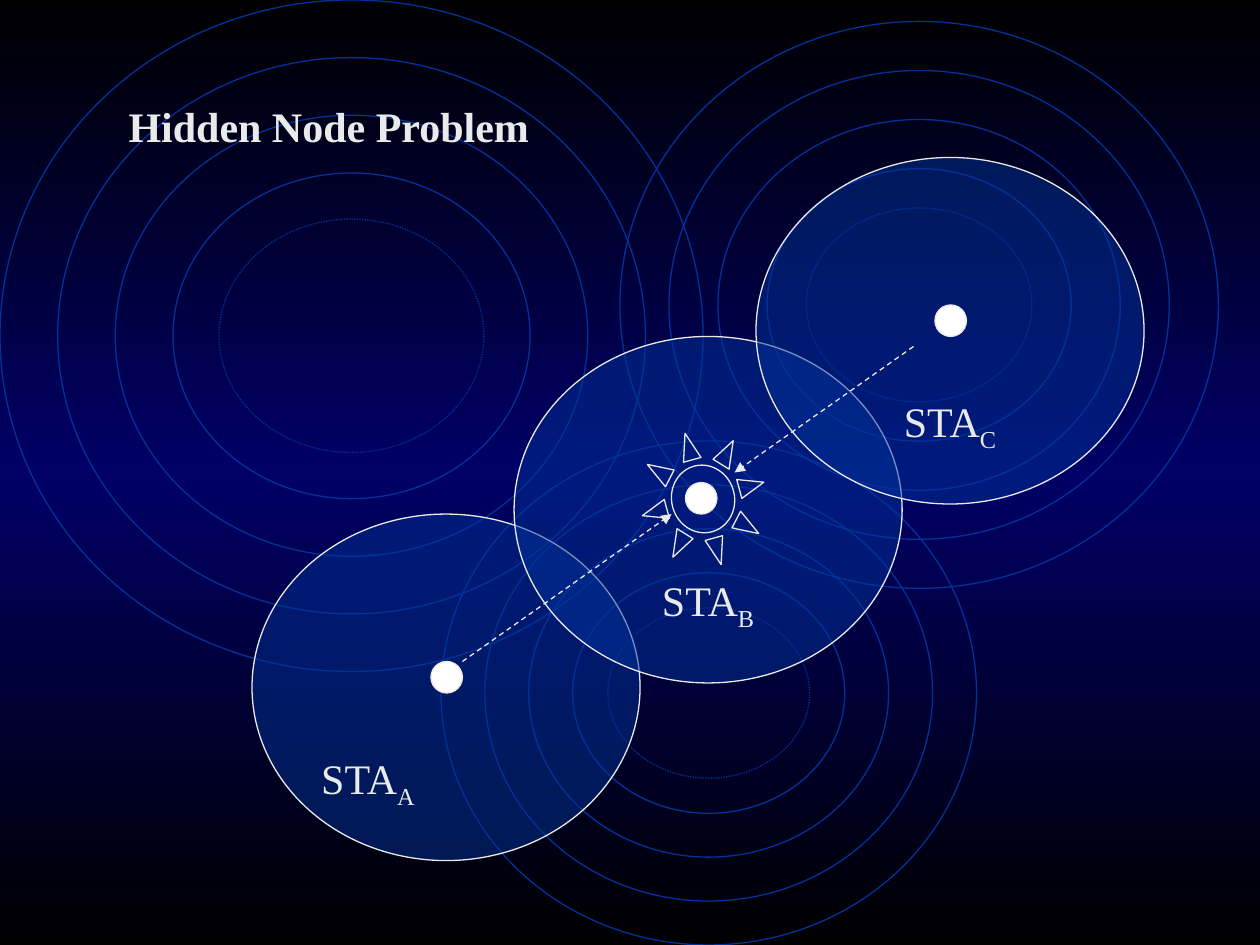
from copy import deepcopy

from pptx import Presentation
from pptx.dml.color import RGBColor
from pptx.enum.dml import MSO_LINE
from pptx.enum.shapes import MSO_CONNECTOR, MSO_SHAPE
from pptx.enum.text import MSO_ANCHOR, PP_ALIGN
from pptx.oxml.ns import qn
from pptx.oxml.xmlchemy import OxmlElement
from pptx.util import Inches, Pt

OVAL, SUN = MSO_SHAPE.OVAL, MSO_SHAPE.SUN
STRAIGHT = MSO_CONNECTOR.STRAIGHT
DASH, DOTTED = MSO_LINE.DASH, MSO_LINE.ROUND_DOT
LEFT, CENTER = PP_ALIGN.LEFT, PP_ALIGN.CENTER
TOP, BOTTOM = MSO_ANCHOR.TOP, MSO_ANCHOR.BOTTOM

FONT = "Times New Roman"
LIGHT, WHITE, BLUE = "EAEAEA", "FFFFFF", "003399"
BLACK, NAVY = "000000", "000066"
RANGE_WIDTH, RANGE_HEIGHT = 3.08, 2.75
NODE_SIZE = 0.25


def color(value):
    """Turn a hex string into a colour."""
    return RGBColor.from_string(value)


def add_text(paragraph, text, size=24, hue=LIGHT, bold=False, baseline=None):
    """Append a formatted run to a paragraph."""
    run = paragraph.add_run()
    run.text = text
    run.font.name = FONT
    run.font.size = Pt(size)
    run.font.bold = bold
    run.font.color.rgb = color(hue)
    if baseline is not None:
        run.font._element.set("baseline", str(baseline * 1000))


def style_line(line, hue, dash=None):
    """Give a line its colour, width and dash."""
    line.color.rgb = color(hue)
    line.width = Pt(0.75)
    if dash is not None:
        line.dash_style = dash


def add_figure(slide, kind, box, line, fill=None, opacity=None, dash=None):
    """Place a preset shape in a box given in inches."""
    figure = slide.shapes.add_shape(kind, *map(Inches, box))
    figure.shadow.inherit = False
    style_line(figure.line, line, dash)
    if fill is None:
        figure.fill.background()
    else:
        figure.fill.solid()
        figure.fill.fore_color.rgb = color(fill)
    if opacity is not None:
        alpha = OxmlElement("a:alpha")
        alpha.set("val", str(opacity * 1000))
        figure.fill._xPr.find(".//" + qn("a:srgbClr")).append(alpha)
    return figure


def paint_background(slide):
    """Fill the slide with a vertical black, navy, black gradient."""
    fill = slide.background.fill
    fill.gradient()
    fill.gradient_angle = 270
    stop_list = slide.element.find(".//" + qn("a:gsLst"))
    stop_list.append(deepcopy(stop_list[-1]))
    for stop, position, hue in zip(fill.gradient_stops, (0, 0.5, 1), (BLACK, NAVY, BLACK)):
        stop.position = position
        stop.color.rgb = color(hue)


def add_ripple(slide, left, top, width, height):
    """Draw concentric rings inside a box, the innermost dotted."""
    for step in (0, 1, 2, 3, 3.8):
        inset = 0.082 * width * step
        box = (left + inset, top + inset, width - 2 * inset, height - 2 * inset)
        add_figure(slide, OVAL, box, BLUE, dash=DOTTED if step == 3.8 else None)


def add_title(slide, left, top, width, height):
    """Place the title above the rings."""
    title = slide.shapes.title
    slide.shapes._spTree.append(title._element)
    title.left, title.top = Inches(left), Inches(top)
    title.width, title.height = Inches(width), Inches(height)
    frame = title.text_frame
    frame.word_wrap = True
    frame.vertical_anchor = TOP
    paragraph = frame.paragraphs[0]
    paragraph.alignment = LEFT
    add_text(paragraph, "Hidden Node Problem", bold=True)


def add_station_range(slide, left, top, letter, alignment):
    """Draw the radio range of a station with its label at the bottom."""
    box = (left, top, RANGE_WIDTH, RANGE_HEIGHT)
    station = add_figure(slide, OVAL, box, LIGHT, fill=BLUE, opacity=49)
    frame = station.text_frame
    frame.word_wrap = True
    frame.vertical_anchor = BOTTOM
    frame.margin_bottom = 0
    paragraph = frame.paragraphs[0]
    paragraph.alignment = alignment
    add_text(paragraph, "STA")
    add_text(paragraph, letter, baseline=-25)


def add_signal(slide, start, end):
    """Draw a dashed arrow between two points."""
    signal = slide.shapes.add_connector(STRAIGHT, *map(Inches, start + end))
    style_line(signal.line, LIGHT, DASH)
    arrowhead = OxmlElement("a:tailEnd")
    arrowhead.set("type", "triangle")
    signal.line._get_or_add_ln().append(arrowhead)
    signal._element.spPr.append(OxmlElement("a:effectLst"))


def add_collision(slide, left, top, width, height):
    """Draw the tilted burst where the signals meet."""
    burst = add_figure(slide, SUN, (left, top, width, height), LIGHT)
    burst.adjustments[0] = 0.25
    burst.rotation = 344.6


def main():
    """Build the slide and save it."""
    deck = Presentation()
    deck.slide_width, deck.slide_height = Inches(10), Inches(7.5)
    slide = deck.slides.add_slide(deck.slide_layouts[5])
    paint_background(slide)
    for ripple in ((0, 0, 5.58, 5.33), (3.5, 3.5, 4.25, 4), (4.92, 0.17, 4.75, 4.5)):
        add_ripple(slide, *ripple)
    for station in ((2, 4.08, "A", LEFT), (4.08, 2.67, "B", CENTER), (6, 1.25, "C", CENTER)):
        add_station_range(slide, *station)
    add_title(slide, 0.92, 0.75, 4.42, 0.5)
    for left, top in ((3.42, 5.25), (7.42, 2.42), (5.44, 3.83)):
        add_figure(slide, OVAL, (left, top, NODE_SIZE, NODE_SIZE), LIGHT, fill=WHITE)
    add_signal(slide, (3.67, 5.25), (5.33, 4.08))
    add_signal(slide, (7.25, 2.75), (5.83, 3.75))
    add_collision(slide, 5.08, 3.42, 1, 1.08)
    deck.save("out.pptx")


if __name__ == "__main__":
    main()
